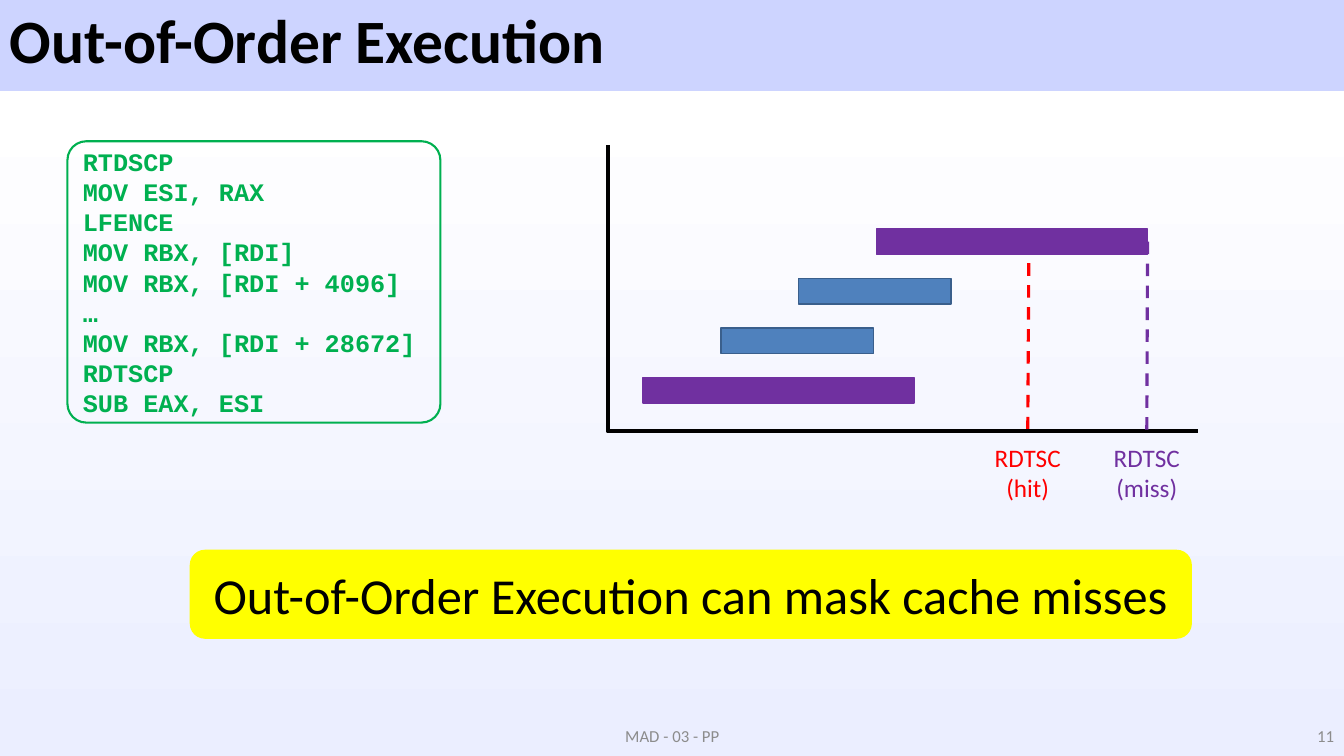
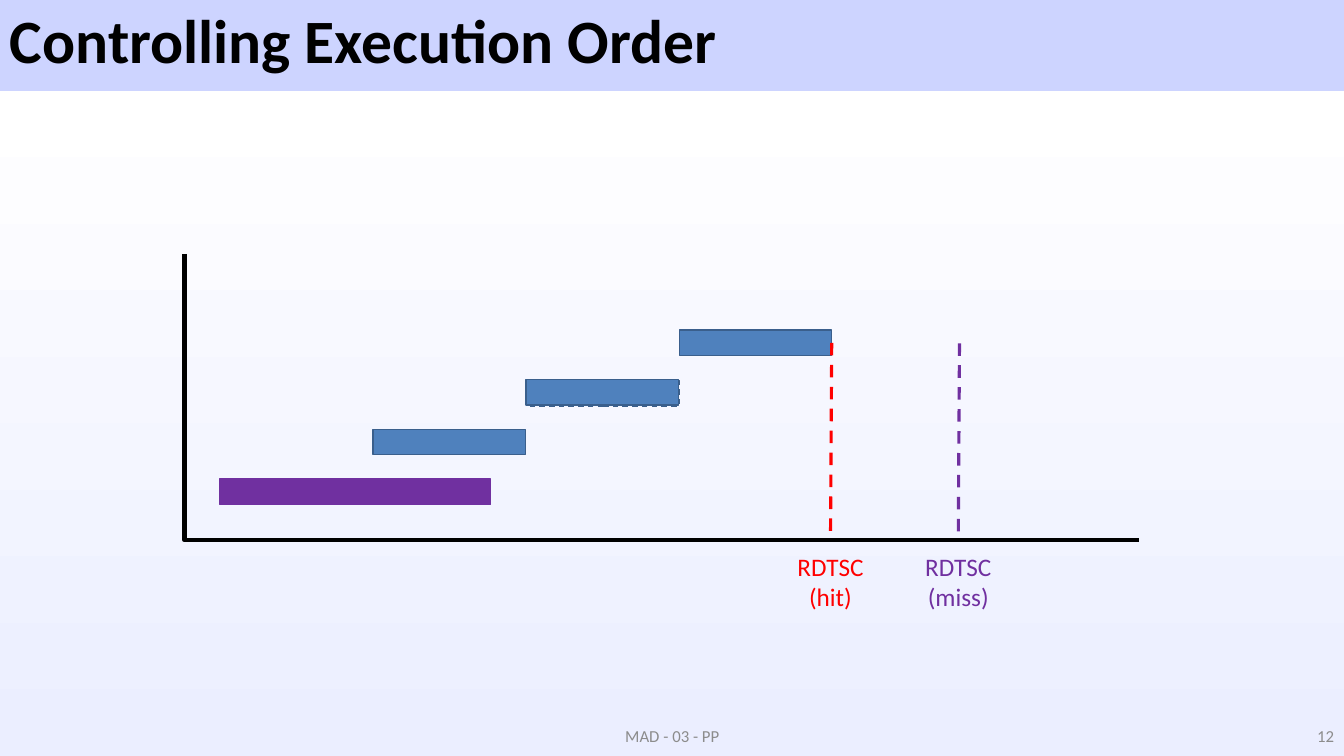
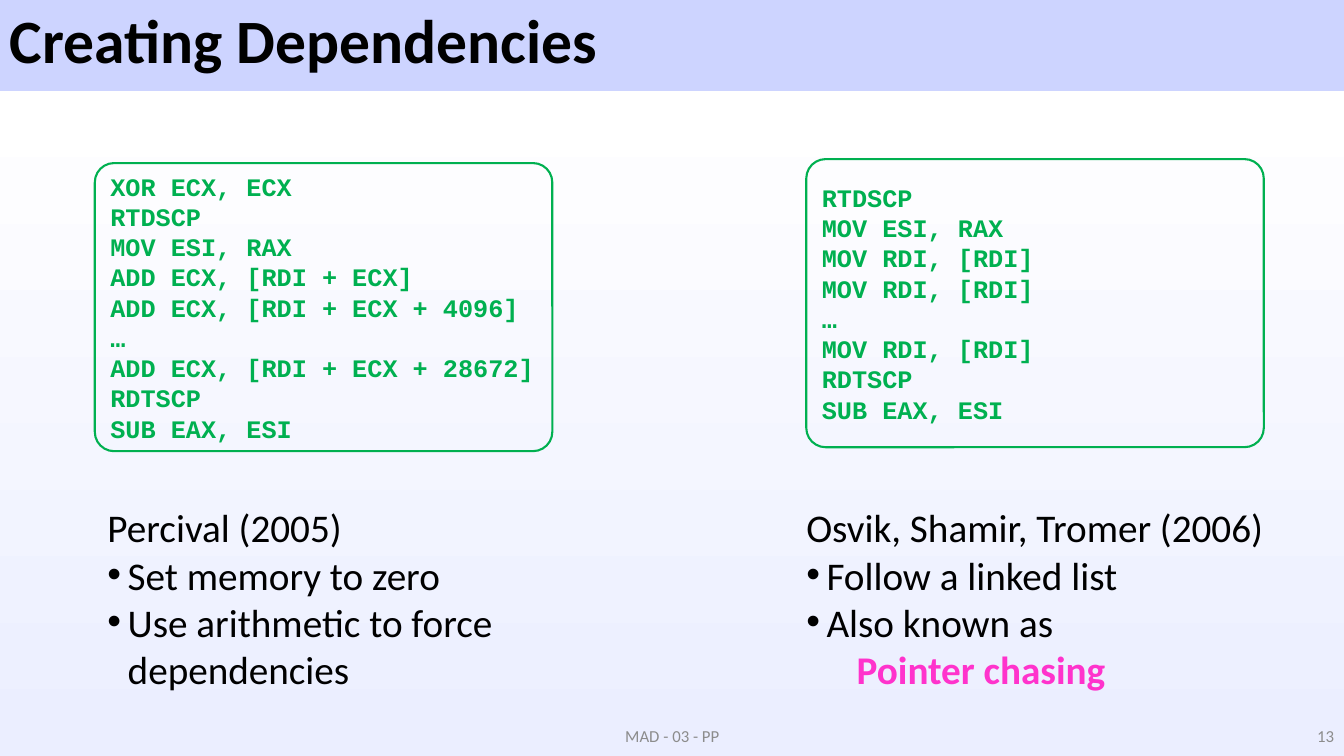
import copy

import lxml.etree
import pptx
import pptx.dml.color
import pptx.enum.dml
import pptx.enum.shapes
import pptx.enum.text
import pptx.oxml.ns
import pptx.util

Cm = pptx.util.Cm
Pt = pptx.util.Pt
RGBColor = pptx.dml.color.RGBColor
Align = pptx.enum.text.PP_ALIGN
Anchor = pptx.enum.text.MSO_ANCHOR
Shape = pptx.enum.shapes.MSO_SHAPE
DASH = pptx.enum.dml.MSO_LINE.DASH
qn = pptx.oxml.ns.qn

BLACK = RGBColor(0x00, 0x00, 0x00)
GRAY = RGBColor(0x8C, 0x8C, 0x8C)
GREEN = RGBColor(0x00, 0xB0, 0x50)
BLUE = RGBColor(0x4F, 0x81, 0xBD)
DARK_BLUE = RGBColor(0x3A, 0x5F, 0x8C)
PURPLE = RGBColor(0x70, 0x30, 0xA0)
RED = RGBColor(0xFF, 0x00, 0x00)
PINK = RGBColor(0xFF, 0x33, 0xCC)
YELLOW = RGBColor(0xFF, 0xFF, 0x00)
BAND = RGBColor(0xCD, 0xD4, 0xFF)
WHITE = RGBColor(0xFF, 0xFF, 0xFF)
PALE = RGBColor(0xEB, 0xEE, 0xFF)

BACKGROUND = [(0, BAND), (0.12, BAND), (0.12, WHITE), (1, PALE)]
FOOTER = "MAD - 03 - PP"

TITLE_FONT = {"name": "Calibri", "size": Pt(44), "bold": True}
CODE_FONT = {"name": "Courier New", "size": Pt(18), "bold": True}
LABEL_FONT = {"name": "Calibri", "size": Pt(18)}
BANNER_FONT = {"name": "Calibri", "size": Pt(36)}
BODY_FONT = {"name": "Calibri", "size": Pt(28)}
FOOTER_FONT = {"name": "Calibri", "size": Pt(12)}

WIDTH, HEIGHT = 33.87, 19.05
BAR_HEIGHT, BAR_RISE = 0.64, 1.25
HIT_LENGTH, MISS_LENGTH = 3.84, 6.83
AXIS_HEIGHT, MARKER_HEIGHT, MARKER_LEAN = 7.21, 4.83, 0.03
LABEL_WIDTH, LABEL_HEIGHT, LABEL_GAP = 2.18, 1.8, 0.15


def apply(target, values):
    for name, value in values.items():
        setattr(target, name, value)


class Deck:
    def __init__(self):
        self.presentation = pptx.Presentation()
        apply(self.presentation, {"slide_width": Cm(WIDTH), "slide_height": Cm(HEIGHT)})
        self.slide = None
        self.paint_background()

    def paint_background(self):
        master = self.presentation.slide_master
        fill = master.background.fill
        fill.gradient()
        fill.gradient_angle = 270
        stops = master.element.find(".//" + qn("a:gsLst"))
        while len(stops) < len(BACKGROUND):
            stops.append(copy.deepcopy(stops[0]))
        for stop, (position, colour) in zip(fill.gradient_stops, BACKGROUND):
            stop.position = position
            stop.color.rgb = colour

    def start_slide(self, title, number):
        self.slide = self.presentation.slides.add_slide(self.presentation.slide_layouts[6])
        self.text(0, 0, WIDTH, 2.21, [title], TITLE_FONT, BLACK,
                  {"vertical_anchor": Anchor.MIDDLE}, {"line_spacing": 0.9})
        for left, width, words, alignment in [
            (11.23, 11.43, FOOTER, Align.CENTER),
            (26.25, 7.62, str(number), Align.RIGHT),
        ]:
            self.text(left, 18.03, width, 1.02, [words], FOOTER_FONT, GRAY,
                      {"vertical_anchor": Anchor.MIDDLE}, {"alignment": alignment})

    def add_words(self, paragraph, words, font, colour):
        run = paragraph.add_run()
        run.text = words
        apply(run.font, font)
        run.font.color.rgb = colour

    def add_lines(self, shape, lines, font, colour, frame_format, paragraph_format):
        frame = shape.text_frame
        apply(frame, {"word_wrap": True, **frame_format})
        for index, line in enumerate(lines):
            paragraph = frame.paragraphs[0] if index == 0 else frame.add_paragraph()
            apply(paragraph, {"alignment": Align.LEFT, **paragraph_format})
            self.add_words(paragraph, line, font, colour)

    def text(self, left, top, width, height, lines, font, colour,
             frame_format={}, paragraph_format={}):
        box = self.slide.shapes.add_textbox(Cm(left), Cm(top), Cm(width), Cm(height))
        self.add_lines(box, lines, font, colour, frame_format, paragraph_format)
        return box

    def shape(self, kind, left, top, width, height, fill, line, line_format):
        shape = self.slide.shapes.add_shape(kind, Cm(left), Cm(top), Cm(width), Cm(height))
        self.outline(shape, fill, line, line_format)
        return shape

    def outline(self, shape, fill, line, line_format):
        shape.shadow.inherit = False
        if fill is None:
            shape.fill.background()
        else:
            shape.fill.solid()
            shape.fill.fore_color.rgb = fill
        shape.line.color.rgb = line
        apply(shape.line, line_format)

    def code(self, left, top, width, height, lines):
        box = self.shape(Shape.ROUNDED_RECTANGLE, left, top, width, height,
                         None, GREEN, {"width": Pt(1.5)})
        box.adjustments[0] = 0.067
        self.add_lines(box, lines, CODE_FONT, GREEN, {"vertical_anchor": Anchor.MIDDLE}, {})

    def banner(self, left, top, width, height, words):
        box = self.shape(Shape.ROUNDED_RECTANGLE, left, top, width, height,
                         YELLOW, YELLOW, {"width": Pt(1)})
        self.add_lines(box, [words], BANNER_FONT, BLACK,
                       {"vertical_anchor": Anchor.MIDDLE}, {"alignment": Align.CENTER})

    def bullets(self, left, top, width, height, heading, points):
        box = self.text(left, top, width, height, [heading, *points], BODY_FONT, BLACK)
        for paragraph in box.text_frame.paragraphs[1:]:
            properties = paragraph._p.get_or_add_pPr()
            properties.set("marL", str(Cm(0.51)))
            properties.set("indent", str(-Cm(0.51)))
            lxml.etree.SubElement(properties, qn("a:buFont")).set("typeface", "Arial")
            lxml.etree.SubElement(properties, qn("a:buChar")).set("char", "•")
        return box

    def axes(self, left, bottom, right):
        builder = self.slide.shapes.build_freeform(Cm(left), Cm(bottom - AXIS_HEIGHT))
        builder.add_line_segments(
            [(Cm(left), Cm(bottom)), (Cm(right), Cm(bottom))], close=False)
        self.outline(builder.convert_to_shape(), None, BLACK, {"width": Pt(3)})

    def bars(self, left, top, step, misses):
        shapes = []
        for index, missed in enumerate(misses):
            length = MISS_LENGTH if missed else HIT_LENGTH
            fill, line = (PURPLE, PURPLE) if missed else (BLUE, DARK_BLUE)
            shapes.append(self.shape(
                Shape.RECTANGLE, left + index * step, top - index * BAR_RISE,
                length, BAR_HEIGHT, fill, line, {"width": Pt(1)}))
        return shapes

    def marker(self, left, top, axis, result, colour, bar=None):
        foot = left - MARKER_LEAN
        connector = self.slide.shapes.add_connector(
            pptx.enum.shapes.MSO_CONNECTOR.STRAIGHT,
            Cm(left), Cm(top), Cm(foot), Cm(top + MARKER_HEIGHT))
        if bar is not None:
            connector.begin_connect(bar, 3)
        connector.line.color.rgb = colour
        apply(connector.line, {"width": Pt(2.25), "dash_style": DASH})
        lxml.etree.SubElement(connector.element.spPr, qn("a:effectLst"))
        self.text(foot - LABEL_WIDTH / 2, axis + LABEL_GAP, LABEL_WIDTH, LABEL_HEIGHT,
                  ["RDTSC", result], LABEL_FONT, colour,
                  {"word_wrap": False}, {"alignment": Align.CENTER})


def out_of_order(deck):
    axis = 10.87
    deck.code(1.7, 3.56, 9.4, 7.09, [
        "RTDSCP", "MOV ESI, RAX", "LFENCE", "MOV RBX, [RDI]", "MOV RBX, [RDI + 4096]",
        "…", "MOV RBX, [RDI + 28672]", "RDTSCP", "SUB EAX, ESI"])
    deck.marker(25.93, 6.08, axis, "(hit)", RED)
    deck.axes(15.32, axis, 30.18)
    bars = deck.bars(16.21, 9.52, 1.96, [True, False, False, True])
    deck.marker(28.93, 6.08, axis, "(miss)", PURPLE, bars[-1])
    deck.banner(4.8, 13.87, 25.22, 2.21, "Out-of-Order Execution can mask cache misses")


def controlled_order(deck):
    axis = 13.61
    deck.shape(Shape.RECTANGLE, 13.28, 9.59, HIT_LENGTH, BAR_HEIGHT,
               None, DARK_BLUE, {"width": Pt(1), "dash_style": DASH})
    bars = deck.bars(5.54, 12.07, 3.86, [True, False, False, False])
    deck.marker(20.96, 8.63, axis, "(hit)", RED, bars[-1])
    deck.axes(4.65, axis, 28.7)
    deck.marker(24.18, 8.65, axis, "(miss)", PURPLE)


def dependencies(deck):
    deck.code(20.32, 4.01, 11.53, 7.26, [
        "RTDSCP", "MOV ESI, RAX", "MOV RDI, [RDI]", "MOV RDI, [RDI]",
        "…", "MOV RDI, [RDI]", "RDTSCP", "SUB EAX, ESI"])
    deck.code(2.39, 4.11, 11.53, 7.26, [
        "XOR ECX, ECX", "RTDSCP", "MOV ESI, RAX", "ADD ECX, [RDI + ECX]",
        "ADD ECX, [RDI + ECX + 4096]", "…", "ADD ECX, [RDI + ECX + 28672]",
        "RDTSCP", "SUB EAX, ESI"])
    deck.bullets(2.46, 12.57, 11.58, 5.05, "Percival (2005)",
                 ["Set memory to zero", "Use arithmetic to force dependencies"])
    chasing = deck.bullets(20.07, 12.57, 12.2, 5.05, "Osvik, Shamir, Tromer (2006)",
                           ["Follow a linked list", "Also known as"])
    paragraph = chasing.text_frame.paragraphs[-1]
    paragraph.add_line_break()
    deck.add_words(paragraph, "\tPointer chasing", {**BODY_FONT, "bold": True}, PINK)


def main():
    deck = Deck()
    pages = [
        ("Out-of-Order Execution", out_of_order),
        ("Controlling Execution Order", controlled_order),
        ("Creating Dependencies", dependencies),
    ]
    for number, (title, build) in enumerate(pages, start=11):
        deck.start_slide(title, number)
        build(deck)
    deck.presentation.save("out.pptx")


if __name__ == "__main__":
    main()
